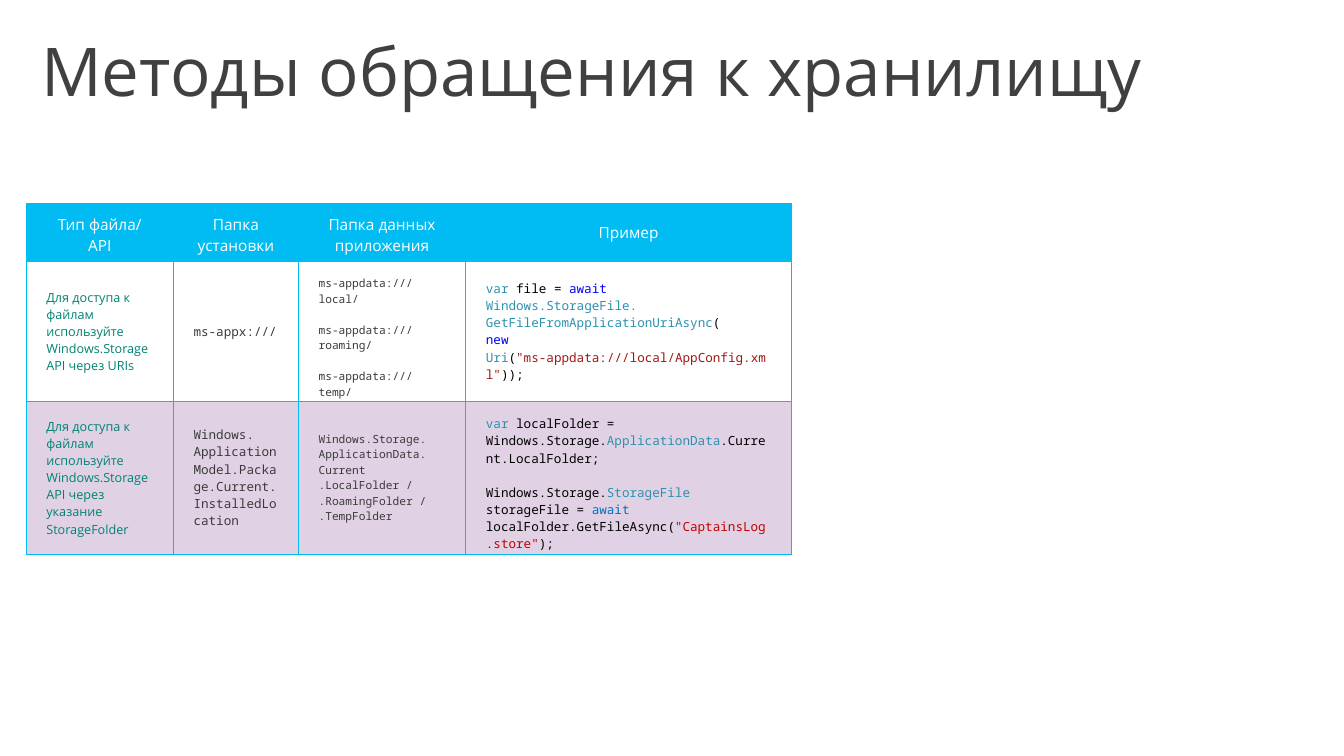
from copy import deepcopy
from lxml import etree
from pptx import Presentation
from pptx.dml.color import RGBColor
from pptx.enum import text
from pptx.oxml import ns
from pptx.util import Inches, Pt

SANS, MONO = "Open Sans", "Noto Sans Mono"
BLUE, GREY, WHITE, DARK = "00BCF2", "8C8C8C", "FFFFFF", "3A3A3A"
TEAL, BLACK, TYPE, KEY = "008272", "000000", "2B91AF", "0000FF"


def color(code):
    return RGBColor.from_string(code)


def write(para, parts, face, size):
    for words, code in parts:
        for i, line in enumerate(words.split("\n")):
            if i:
                para.add_line_break()
                para._p[-1].append(deepcopy(look))
            run = para.add_run()
            run.text = line
            run.font.name, run.font.size = face, Pt(size)
            run.font.color.rgb = color(code)
            look = run._r.get_or_add_rPr()


prs = Presentation()
prs.slide_width, prs.slide_height = Inches(13.33), Inches(7.5)
slide = prs.slides.add_slide(prs.slide_layouts[6])

title = slide.shapes.add_textbox(Inches(0.26), Inches(0.26), Inches(12.74), Inches(1.07))
frame = title.text_frame
frame.word_wrap = True
frame.margin_left = frame.margin_right = Inches(0.15)
frame.margin_top = frame.margin_bottom = Inches(0.12)
frame.paragraphs[0].line_spacing = 0.9
write(frame.paragraphs[0], [("Методы обращения к хранилищу", "404040")], SANS, 48)

heads = ["Тип файла/ API", "Папка установки", "Папка данных приложения", "Пример"]
rows = [
    [[[(head, WHITE)]] for head in heads],
    [
        [[("Для доступа к файлам используйте Windows.Storage \nAPI через URIs", TEAL)]],
        [[("ms-appx:///", DARK)]],
        [[(f"ms-appdata:///{name}/", DARK)] for name in ("local", "roaming", "temp")],
        [[("var", TYPE), (" file = ", BLACK), ("await", KEY), ("\n", BLACK),
          ("Windows.StorageFile.\nGetFileFromApplicationUriAsync", TYPE),
          ("(\n", BLACK), ("new", KEY), (" ", BLACK), ("Uri", TYPE), ("(", BLACK),
          ('"ms-appdata:///local/AppConfig.xml"', "A31515"), ("));", BLACK)]],
    ],
    [
        [[("Для доступа к файлам используйте Windows.Storage API через указание "
           "StorageFolder", TEAL)]],
        [[("Windows.\nApplicationModel.Package.Current.\nInstalledLocation", DARK)]],
        [[("Windows.Storage.\nApplicationData.\nCurrent\n.LocalFolder /\n"
           ".RoamingFolder /\n.TempFolder", DARK)]],
        [[("var ", TYPE), ("localFolder = Windows.Storage.", BLACK),
          ("ApplicationData", TYPE), (".Current.LocalFolder;", BLACK)],
         [("Windows.Storage.", BLACK), ("StorageFile ", TYPE), ("storageFile = ", BLACK),
          ("await ", "0070C0"), ("localFolder.GetFileAsync(", BLACK),
          ('"CaptainsLog.store"', "C00000"), (");", BLACK)]],
    ],
]
wides, highs, sizes = [1.46, 1.24, 1.66, 3.23], [0.51, 1.32, 1.52], [9, 9, 8, 9]

table = slide.shapes.add_table(3, 4, Inches(0.26), Inches(2.02),
                               Inches(sum(wides)), Inches(sum(highs))).table
table.first_row = table.horz_banding = False
for col, wide in zip(table.columns, wides):
    col.width = Inches(wide)
for row, high in zip(table.rows, highs):
    row.height = Inches(high)

for r, row in enumerate(rows):
    for c, paras in enumerate(row):
        cell = table.cell(r, c)
        cell.vertical_anchor = text.MSO_ANCHOR.MIDDLE
        cell.margin_left = cell.margin_right = Inches(0.2)
        cell.margin_top = Inches(0.14 if r else 0.1)
        cell.margin_bottom = Inches(0.14 if r else 0.11)
        size = sizes[c] if r else 11
        for i, parts in enumerate(paras):
            para = cell.text_frame.add_paragraph() if i else cell.text_frame.paragraphs[0]
            para.alignment = text.PP_ALIGN.LEFT if r else text.PP_ALIGN.CENTER
            if i:
                para.space_before = Pt(size * 1.37)
            write(para, parts, MONO if r and c else SANS, size)

        props = cell._tc.get_or_add_tcPr()
        if r == 1:
            cell.fill.background()
        else:
            cell.fill.solid()
            cell.fill.fore_color.rgb = color("68217A" if r else BLUE)
        if r == 2:
            tint = props.find(".//" + ns.qn("a:srgbClr"))
            etree.SubElement(tint, ns.qn("a:alpha"), val="20000")

        grey = {"L": r and c == 3, "R": r and c > 1, "T": r == 2, "B": r == 1}
        for i, side in enumerate("LRTB"):
            line = etree.Element(ns.qn("a:ln" + side), w=str(Pt(1)))
            solid = etree.SubElement(line, ns.qn("a:solidFill"))
            etree.SubElement(solid, ns.qn("a:srgbClr"), val=GREY if grey[side] else BLUE)
            props.insert(i, line)

prs.save("out.pptx")
